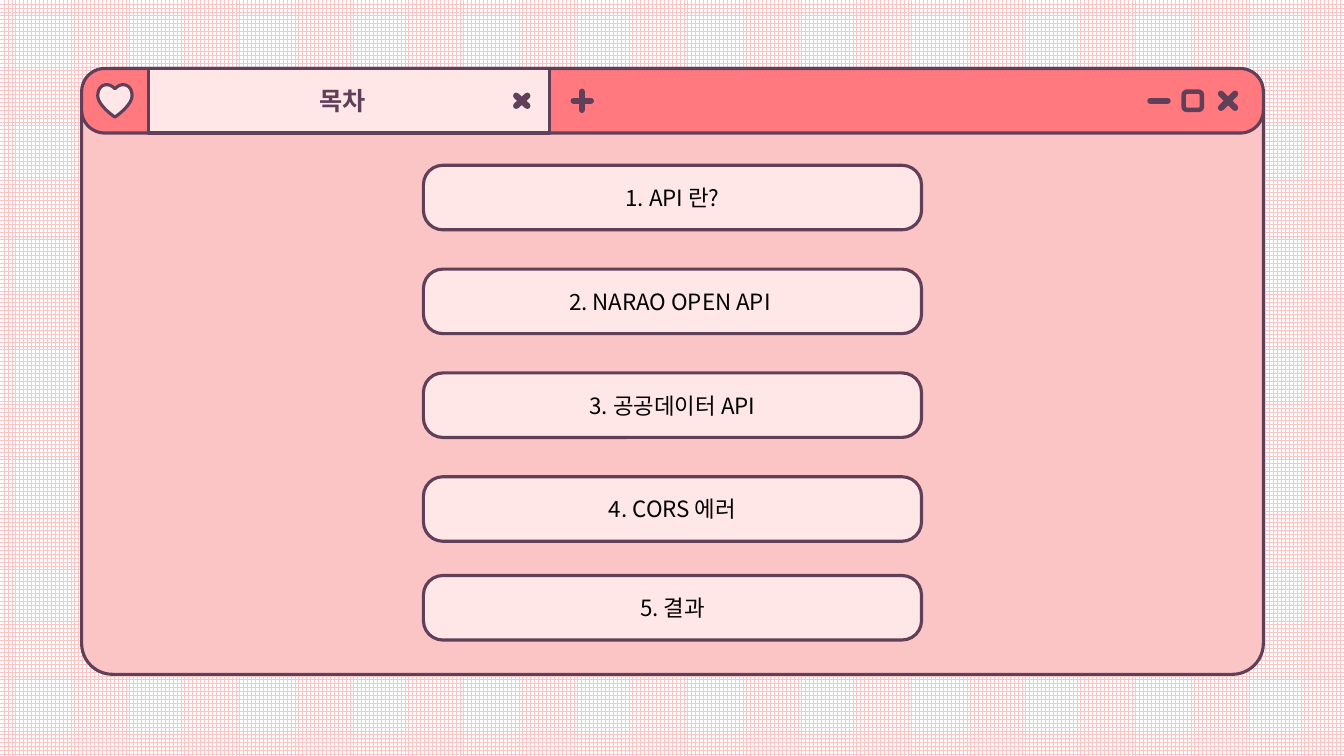
from dataclasses import dataclass

from lxml.etree import SubElement
from pptx import Presentation
from pptx.dml.color import RGBColor
from pptx.enum.dml import MSO_PATTERN_TYPE as Pattern
from pptx.enum.shapes import MSO_CONNECTOR as Connector, MSO_SHAPE as Preset
from pptx.enum.text import MSO_ANCHOR as Anchor, MSO_AUTO_SIZE as AutoSize, PP_ALIGN as Align
from pptx.oxml.ns import qn
from pptx.util import Inches, Pt


@dataclass(frozen=True)
class Theme:
    font: str = "Noto Sans CJK KR"
    white: RGBColor = RGBColor.from_string("FFFFFF")
    black: RGBColor = RGBColor.from_string("000000")
    plum: RGBColor = RGBColor.from_string("623F59")
    title_color: RGBColor = RGBColor.from_string("613F59")
    pink: RGBColor = RGBColor.from_string("FBC5C6")
    coral: RGBColor = RGBColor.from_string("FF797E")
    blush: RGBColor = RGBColor.from_string("FFE7E7")
    title_size: Pt = Pt(18)
    item_size: Pt = Pt(16)
    outline: Pt = Pt(2.25)
    square_outline: Pt = Pt(3.25)
    stroke: Pt = Pt(4.5)


theme = Theme()


def paint(shape, fill, width=theme.outline):
    shape.shadow.inherit = False
    shape.fill.solid()
    shape.fill.fore_color.rgb = fill
    shape.line.color.rgb = theme.plum
    shape.line.width = width


def write(shape, text, align, size, color, bold=False):
    para = shape.text_frame.paragraphs[0]
    para.alignment = align
    span = para.add_run()
    span.text = text
    span.font.name = theme.font
    span.font.size = size
    span.font.bold = bold
    span.font.color.rgb = color
    SubElement(span.font._element, qn("a:ea"), typeface=theme.font)


deck = Presentation()
deck.slide_width = Inches(13.33)
deck.slide_height = Inches(7.5)
page = deck.slides.add_slide(deck.slide_layouts[6])

backdrop = page.background.fill
backdrop.patterned()
backdrop.pattern = Pattern.LARGE_GRID
backdrop.fore_color.rgb = theme.pink
backdrop.back_color.rgb = theme.white

window_parts = [
    (0.81, 0.68, 11.72, 6.01, 0.051, theme.pink, theme.outline),
    (0.81, 0.68, 11.72, 0.64, 0.356, theme.coral, theme.outline),
    (1.47, 0.68, 3.98, 0.64, 0, theme.blush, theme.outline),
    (11.74, 0.91, 0.18, 0.18, 0.167, theme.coral, theme.square_outline),
]
for left, top, width, height, corner, fill, outline in window_parts:
    part = page.shapes.add_shape(
        Preset.ROUNDED_RECTANGLE, Inches(left), Inches(top), Inches(width), Inches(height)
    )
    part.adjustments[0] = corner
    paint(part, fill, outline)

close_button = page.shapes.add_group_shape()
icon_strokes = [
    (page, 5.77, 0.91, 5.77, 1.09),
    (page, 5.86, 1, 5.69, 1),
    (page, 5.23, 0.95, 5.12, 1.05),
    (page, 5.23, 1.05, 5.12, 0.95),
    (close_button, 12.25, 0.93, 12.11, 1.07),
    (close_button, 12.25, 1.07, 12.11, 0.93),
    (page, 11.58, 1, 11.41, 1),
]
for owner, *ends in icon_strokes:
    stroke = owner.shapes.add_connector(Connector.STRAIGHT, *[Inches(end) for end in ends])
    stroke.line.color.rgb = theme.plum
    stroke.line.width = theme.stroke
    stroke.line._get_or_add_ln().set("cap", "rnd")
    SubElement(stroke._element.spPr, qn("a:effectLst"))

heart_center = 1.14
heart_curves = [
    ((0, 1.16), (-0.02, 1.15), (-0.17, 1.04), (-0.17, 0.95)),
    ((-0.17, 0.95), (-0.17, 0.88), (-0.13, 0.84), (-0.08, 0.84)),
    ((-0.08, 0.84), (-0.05, 0.84), (-0.02, 0.86), (0, 0.88)),
]
steps = 12
left_half = []
for curve in heart_curves:
    for step in range(steps):
        t = step / steps
        weights = ((1 - t) ** 3, 3 * t * (1 - t) ** 2, 3 * t**2 * (1 - t), t**3)
        left_half.append(
            tuple(sum(w * point[axis] for w, point in zip(weights, curve)) for axis in (0, 1))
        )
left_half.append(heart_curves[-1][-1])
right_half = [(-x, y) for x, y in reversed(left_half[1:-1])]
outline_points = [(Inches(heart_center + x), Inches(y)) for x, y in left_half + right_half]
builder = page.shapes.build_freeform(*outline_points[0])
builder.add_line_segments(outline_points[1:], close=True)
paint(builder.convert_to_shape(), theme.blush)

title_box = page.shapes.add_textbox(Inches(3.07), Inches(0.8), Inches(0.71), Inches(0.4))
title_box.text_frame.word_wrap = False
title_box.text_frame.auto_size = AutoSize.SHAPE_TO_FIT_TEXT
write(title_box, "목차", Align.JUSTIFY, theme.title_size, theme.title_color, bold=True)

items = ["1. API 란?", "2. NARAO OPEN API ", "3. 공공데이터 API", "4. CORS 에러", "5. 결과"]
item_tops = [1.64 + 1.03 * row for row in range(4)] + [5.71]
for text, top in zip(items, item_tops):
    item_box = page.shapes.add_shape(
        Preset.ROUNDED_RECTANGLE, Inches(4.2), Inches(top), Inches(4.94), Inches(0.64)
    )
    item_box.adjustments[0] = 0.301
    paint(item_box, theme.blush)
    item_box.text_frame.word_wrap = True
    item_box.text_frame.vertical_anchor = Anchor.MIDDLE
    write(item_box, text, Align.CENTER, theme.item_size, theme.black)

deck.save("out.pptx")
